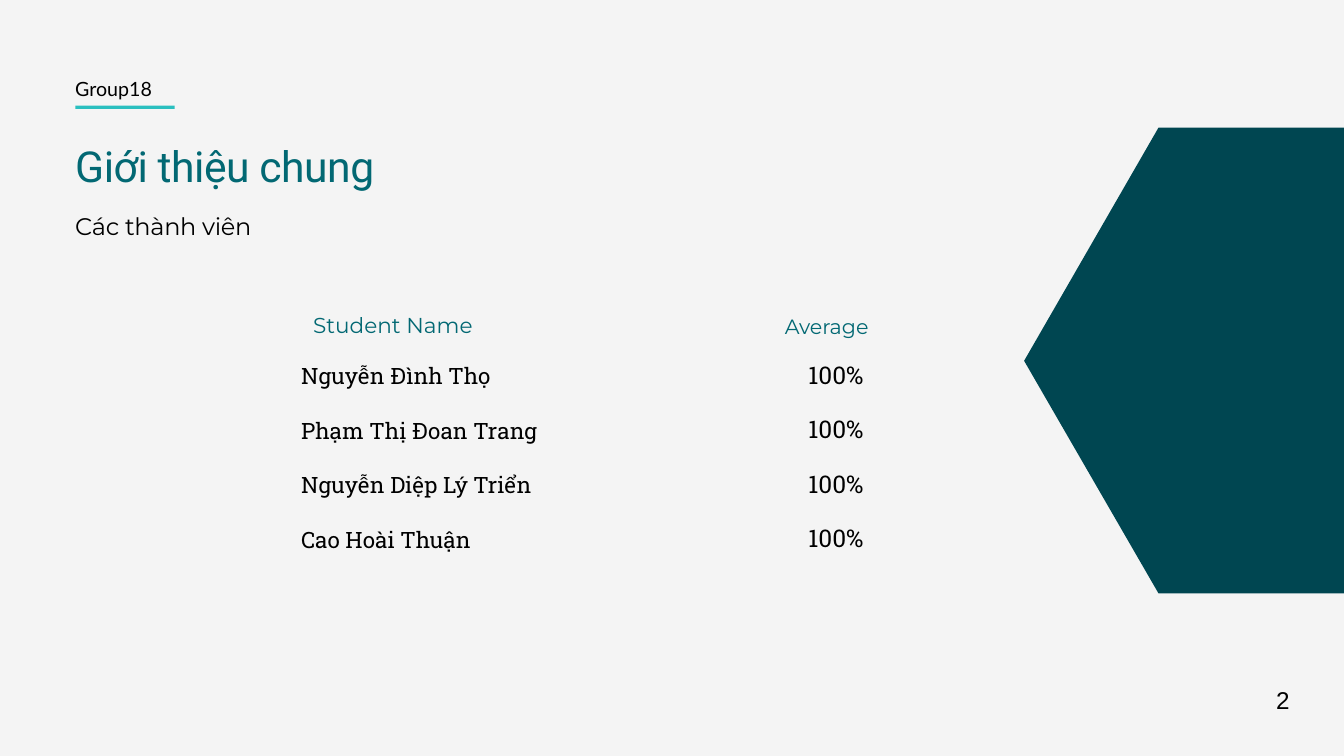
import pptx
import pptx.dml.color
import pptx.enum.shapes
import pptx.enum.text
import pptx.util

Inches = pptx.util.Inches
Pt = pptx.util.Pt

COLOURS = {
    "background": "F4F4F4",
    "hexagon": "004651",
    "heading": "026873",
    "accent": "2ABFBF",
    "text": "000000",
}

MEMBERS = [
    ("Nguyễn Đình Thọ", "100%"),
    ("Phạm Thị Đoan Trang", "100%"),
    ("Nguyễn Diệp Lý Triển", "100%"),
    ("Cao Hoài Thuận", "100%"),
]

MARGIN = 1.12
NAME_LEFT, AVERAGE_LEFT = 4.48, 12.03
FIRST_ROW_TOP, ROW_PITCH = 5.32, 0.813


class SlideBuilder:
    def __init__(self, slide):
        self.slide = slide

    def colour(self, name):
        return pptx.dml.color.RGBColor.from_string(COLOURS[name])

    def background(self, colour):
        fill = self.slide.background.fill
        fill.solid()
        fill.fore_color.rgb = self.colour(colour)

    def paint(self, shape, colour):
        shape.shadow.inherit = False
        shape.fill.solid()
        shape.fill.fore_color.rgb = self.colour(colour)
        shape.line.fill.background()

    def bar(self, left, top, width, height, colour):
        bar = self.slide.shapes.add_shape(
            pptx.enum.shapes.MSO_SHAPE.RECTANGLE,
            Inches(left), Inches(top), Inches(width), Inches(height))
        self.paint(bar, colour)

    def polygon(self, points, colour):
        corners = [(Inches(x), Inches(y)) for x, y in points]
        outline = self.slide.shapes.build_freeform(*corners[0])
        outline.add_line_segments(corners[1:], close=True)
        self.paint(outline.convert_to_shape(), colour)

    def text(self, words, left, top, width, height, font, size, line,
             colour="text", tracking=0):
        """Add one line of text; size, line height and tracking are in points."""
        box = self.slide.shapes.add_textbox(
            Inches(left), Inches(top), Inches(width), Inches(height))
        frame = box.text_frame
        frame.word_wrap = True
        frame.auto_size = pptx.enum.text.MSO_AUTO_SIZE.SHAPE_TO_FIT_TEXT
        frame.margin_left = frame.margin_right = 0
        frame.margin_top = frame.margin_bottom = 0
        paragraph = frame.paragraphs[0]
        paragraph.line_spacing = Pt(line)
        run = paragraph.add_run()
        run.text = words
        run.font.name = font
        run.font.size = Pt(size)
        run.font.color.rgb = self.colour(colour)
        if tracking:
            run._r.get_or_add_rPr().set("spc", str(round(tracking * 100)))


def main():
    deck = pptx.Presentation()
    deck.slide_width, deck.slide_height = Inches(20), Inches(11.25)
    page = SlideBuilder(deck.slides.add_slide(deck.slide_layouts[6]))
    page.background("background")

    page.polygon([(23.24, 5.37), (21.24, 8.83), (17.24, 8.83),
                  (15.24, 5.37), (17.24, 1.9), (21.24, 1.9)], "hexagon")

    page.text("Giới thiệu chung", MARGIN, 1.96, 5.63, 0.85,
              "Roboto", 45.7, 64, "heading", tracking=-0.5)
    page.text("Các thành viên", MARGIN, 3.08, 5.63, 0.47,
              "Montserrat", 25.7, 36, tracking=-0.3)
    page.text("Group18", MARGIN, 1.09, 1.6, 0.38, "Lato", 21, 29.4)
    page.bar(MARGIN, 1.57, 1.48, 0.05, "accent")

    page.text("Student Name", 4.66, 4.58, 3.99, 0.44,
              "Montserrat", 23.1, 32.4, "heading")
    page.text("Average", 11.68, 4.61, 3.99, 0.41,
              "Montserrat", 22.1, 30.9, "heading")
    for row, (member, average) in enumerate(MEMBERS):
        top = FIRST_ROW_TOP + row * ROW_PITCH
        page.text(member, NAME_LEFT, top, 3.99, 0.44,
                  "Roboto Slab", 24.1, 33.8)
        page.text(average, AVERAGE_LEFT, top - 0.04, 1.01, 0.48,
                  "Roboto Slab", 26.1, 36.5)

    page.text("2", 18.99, 10.13, 0.39, 0.48, "Arial", 26, 36.4)
    deck.save("out.pptx")


if __name__ == "__main__":
    main()
